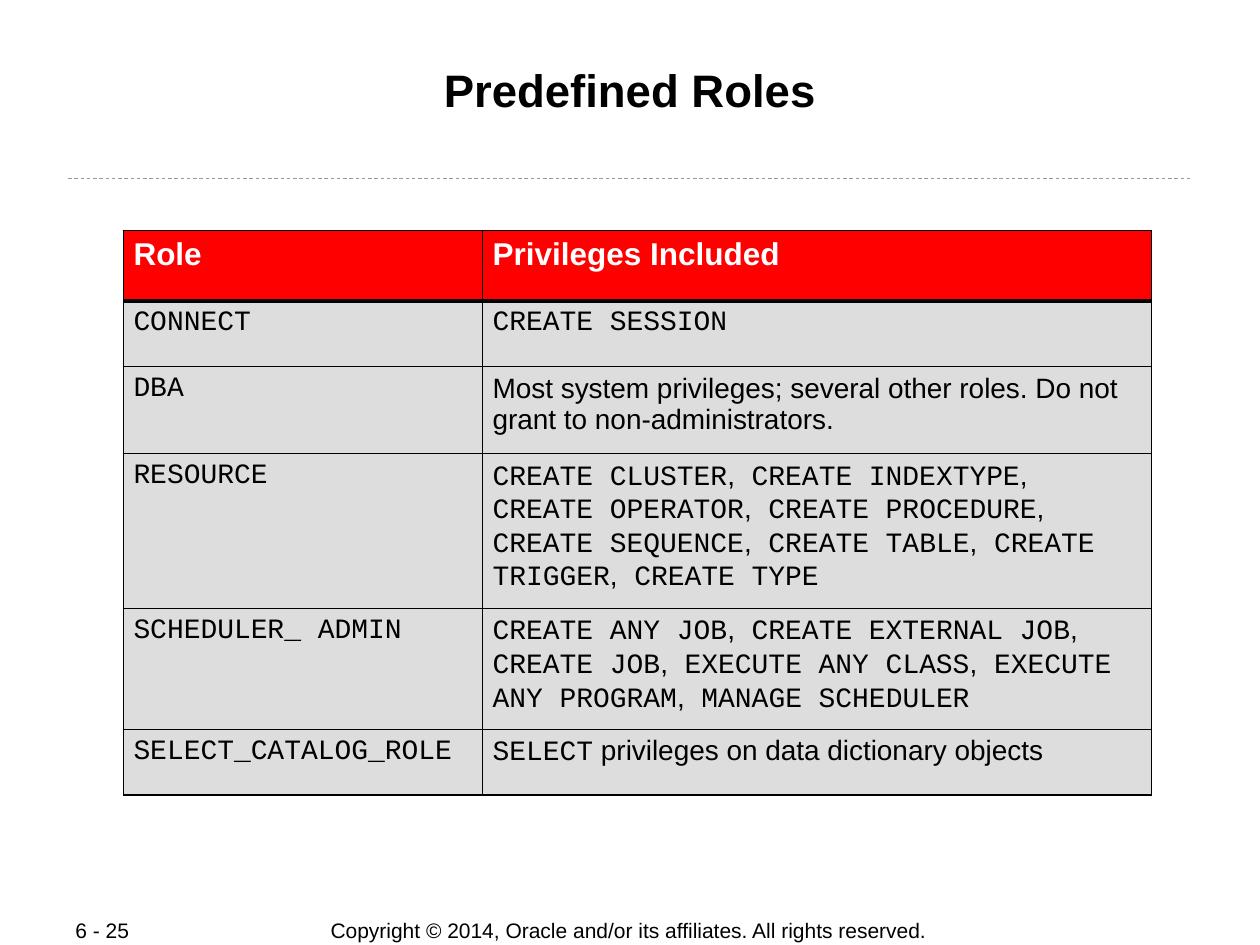
from lxml.etree import SubElement
from pptx import Presentation
from pptx.dml.color import RGBColor
from pptx.enum.dml import MSO_LINE_DASH_STYLE as Dash
from pptx.enum.shapes import MSO_CONNECTOR_TYPE as Connector
from pptx.enum.text import MSO_VERTICAL_ANCHOR as Anchor, PP_PARAGRAPH_ALIGNMENT as Align
from pptx.oxml.ns import qn
from pptx.util import Inches, Pt

SANS, MONO = "Arial", "Courier New"
BLACK, WHITE, RED, SILVER, GRAY = "000000", "FFFFFF", "FF0000", "DDDDDD", "999999"


def paint(target, color):
    if hasattr(target, "solid"):
        target.solid()
        target = target.fore_color
    target.rgb = RGBColor.from_string(color)


def write(paragraph, text, size, font=SANS, color=BLACK, bold=False):
    run = paragraph.add_run()
    run.text = text
    run.font.size = Pt(size)
    run.font.name = font
    run.font.bold = bold
    paint(run.font.color, color)


deck = Presentation()
deck.slide_width, deck.slide_height = Inches(10), Inches(7.5)
col, row = deck.slide_width / 100, deck.slide_height / 75
slide = deck.slides.add_slide(deck.slide_layouts[6])

captions = [
    ("Copyright © 2014, Oracle and/or its affiliates. All rights reserved.",
     24.4, 72.8, 51, 2.1, 12, False, Align.CENTER, Anchor.MIDDLE),
    ("6 - 25", 5, 72.8, 10.6, 2, 12, False, Align.LEFT, Anchor.MIDDLE),
    ("Predefined Roles", 6.7, 4.8, 86.6, 9.6, 26, True, Align.CENTER, Anchor.TOP),
]
for text, left, top, width, height, size, bold, align, anchor in captions:
    caption = slide.shapes.add_textbox(
        int(left * col), int(top * row), int(width * col), int(height * row)).text_frame
    caption.word_wrap = True
    caption.vertical_anchor = anchor
    caption.margin_top = caption.margin_bottom = int(0.1 * row)
    caption.paragraphs[0].alignment = align
    write(caption.paragraphs[0], text, size, bold=bold)

divider = slide.shapes.add_connector(
    Connector.STRAIGHT, int(5.4 * col), int(14.2 * row), int(94.6 * col), int(14.2 * row))
paint(divider.line.fill, GRAY)
divider.line.width = Pt(0.5)
divider.line.dash_style = Dash.DASH
SubElement(divider.element.spPr, qn("a:effectLst"))

resource_privileges = [
    "CREATE CLUSTER", "CREATE INDEXTYPE", "CREATE OPERATOR", "CREATE PROCEDURE",
    "CREATE SEQUENCE", "CREATE TABLE", "CREATE TRIGGER", "CREATE TYPE"]
scheduler_privileges = [
    "CREATE ANY JOB", "CREATE EXTERNAL JOB", "CREATE JOB", "EXECUTE ANY CLASS",
    "EXECUTE ANY PROGRAM", "MANAGE SCHEDULER"]
resource_runs, scheduler_runs = [], []
for runs, privileges in [(resource_runs, resource_privileges),
                         (scheduler_runs, scheduler_privileges)]:
    runs.append((privileges[0], MONO))
    for privilege in privileges[1:]:
        runs += [(",", SANS), (" " + privilege, MONO)]

roles = [
    (5.6, "Role", [("Privileges Included", SANS)]),
    (5.2, "CONNECT", [("CREATE SESSION", MONO)]),
    (6.9, "DBA", [("Most system privileges; several other roles. "
                   "Do not grant to non-administrators.", SANS)]),
    (12.3, "RESOURCE", resource_runs),
    (9.6, "SCHEDULER_ ADMIN", scheduler_runs),
    (5.2, "SELECT_CATALOG_ROLE",
     [("SELECT", MONO), (" privileges on data dictionary objects", SANS)]),
]
role_table = slide.shapes.add_table(
    len(roles), 2, int(9.8 * col), int(18.3 * row), int(81.6 * col), int(44.9 * row)).table
role_table.horz_banding = False
for column, width in zip(role_table.columns, (28.5, 53.1)):
    column.width = int(width * col)

for index, (height, role, privilege_runs) in enumerate(roles):
    role_table.rows[index].height = int(height * row)
    header = index == 0
    role_runs = [(role, SANS if header else MONO)]
    for cell, runs in zip(role_table.rows[index].cells, (role_runs, privilege_runs)):
        cell.margin_left = cell.margin_right = int(0.8 * col)
        cell.margin_top = cell.margin_bottom = int(0.5 * row)
        for text, font in runs:
            write(cell.text_frame.paragraphs[0], text, 18 if header else 16, font,
                  WHITE if header else BLACK, header)
        properties = cell._tc.get_or_add_tcPr()
        for edge in ("lnL", "lnR", "lnT", "lnB"):
            under_header = (index, edge) in ((0, "lnB"), (1, "lnT"))
            border = SubElement(properties, qn("a:" + edge),
                                w=str(Pt(2.21 if under_header else 1.08)))
            SubElement(SubElement(border, qn("a:solidFill")), qn("a:srgbClr"), val=BLACK)
        paint(cell.fill, RED if header else SILVER)

deck.save("out.pptx")
